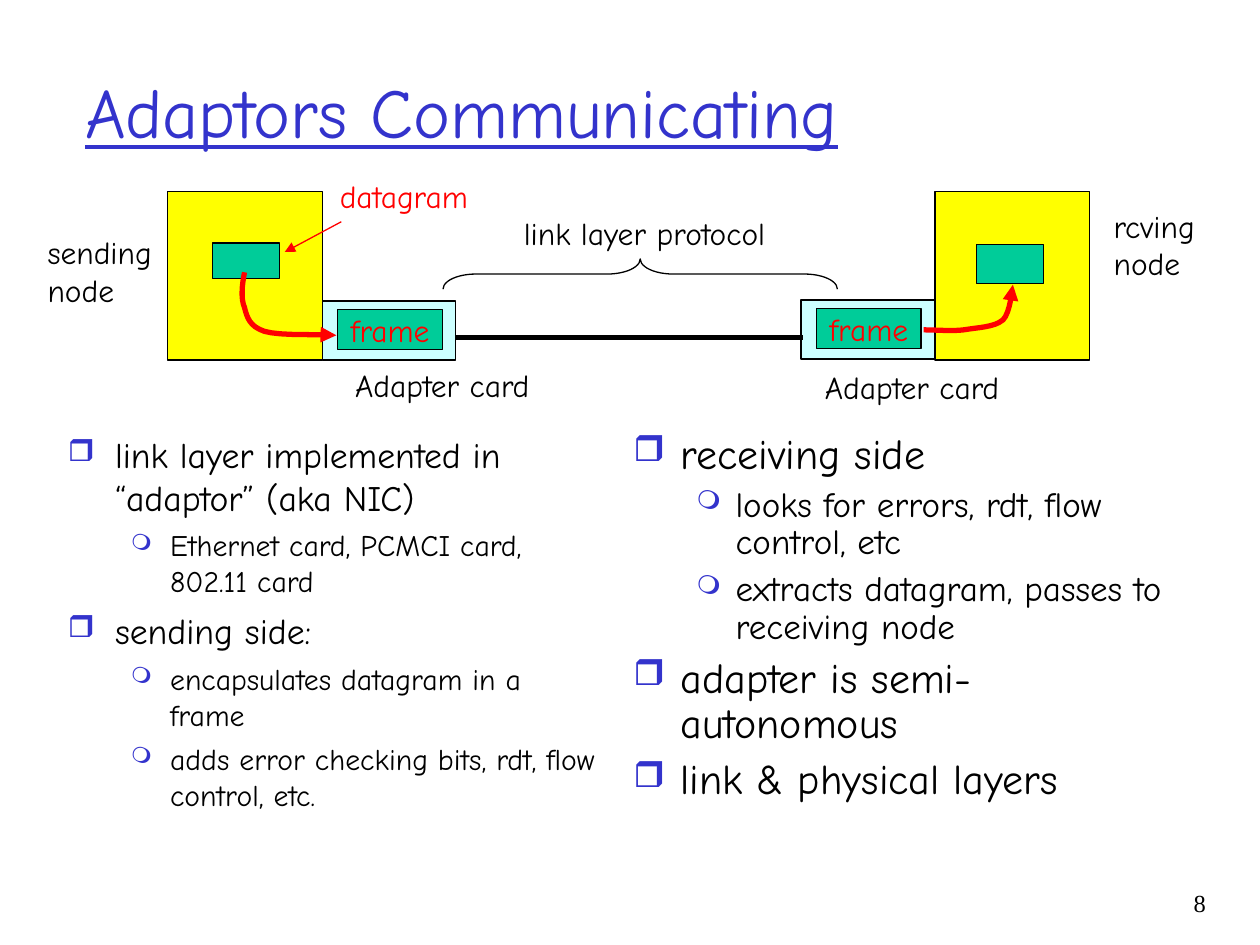
"""Build the slide that shows two link layer adaptors communicating."""
from lxml import etree
from pptx import Presentation
from pptx.dml.color import RGBColor
from pptx.enum.shapes import MSO_CONNECTOR, MSO_SHAPE
from pptx.enum.text import MSO_ANCHOR, PP_ALIGN
from pptx.oxml.ns import qn
from pptx.util import Cm, Pt

RECTANGLE, BRACE = MSO_SHAPE.RECTANGLE, MSO_SHAPE.LEFT_BRACE
STRAIGHT = MSO_CONNECTOR.STRAIGHT
MIDDLE, TOP = MSO_ANCHOR.MIDDLE, MSO_ANCHOR.TOP
LEFT, CENTER, RIGHT = PP_ALIGN.LEFT, PP_ALIGN.CENTER, PP_ALIGN.RIGHT

color = RGBColor.from_string
BLACK, BLUE, RED = "000000", "3333CC", "FF0000"
YELLOW, GREEN, PALE = "FFFF00", "00CC99", "CCFFFF"
FONT = "Comic Neue"

presentation = Presentation()
presentation.slide_width, presentation.slide_height = Cm(25.4), Cm(19.05)
slide = presentation.slides.add_slide(presentation.slide_layouts[6])
shapes = slide.shapes


def write(shape, lines, size, text_color=BLACK, align=LEFT, anchor=TOP, wrap=False, font=FONT):
    frame = shape.text_frame
    frame.word_wrap = wrap
    frame.vertical_anchor = anchor
    frame.text = "\n".join(lines)
    for paragraph in frame.paragraphs:
        paragraph.alignment = align
        paragraph.font.name = font
        paragraph.font.size = Pt(size)
        paragraph.font.color.rgb = color(text_color)
    return frame


def add_box(left, top, width, height, fill):
    box = shapes.add_shape(RECTANGLE, Cm(left), Cm(top), Cm(width), Cm(height))
    box.shadow.inherit = False
    box.fill.solid()
    box.fill.fore_color.rgb = color(fill)
    box.line.color.rgb = color(BLACK)
    box.line.width = Pt(0.75)
    return box


title = shapes.add_textbox(Cm(1.47), Cm(0.64), Cm(21.59), Cm(3.17))
title_frame = write(title, ["Adaptors Communicating"], 40, BLUE, anchor=MIDDLE, wrap=True)
title_frame.paragraphs[0].font.underline = True

# level, text
sending_points = [
    (0, "link layer implemented in “adaptor” (aka NIC)"),
    (1, "Ethernet card, PCMCI card, 802.11 card"),
    (0, "sending side:"),
    (1, "encapsulates datagram in a frame"),
    (1, "adds error checking bits, rdt, flow control, etc."),
]
receiving_points = [
    (0, "receiving side"),
    (1, "looks for errors, rdt, flow control, etc"),
    (1, "extracts datagram, passes to receiving node"),
    (0, "adapter is semi-autonomous"),
    (0, "link & physical layers"),
]
level_styles = [("❒", 85, 0.95, -0.95, 6), ("❍", 75, 2.06, -0.79, 5)]
for left, points, sizes, spacing in (
    (1.12, sending_points, (20.4, 17), 1.0),
    (12.52, receiving_points, (24, 20), 0.9),
):
    body = shapes.add_textbox(Cm(left), Cm(8.6), Cm(11.33), Cm(8.4))
    frame = write(body, [text for level, text in points], sizes[0], wrap=True)
    for paragraph, (level, text) in zip(frame.paragraphs, points):
        symbol, percent, margin, indent, space = level_styles[level]
        paragraph.level = level
        paragraph.font.size = Pt(sizes[level])
        paragraph.line_spacing = spacing
        paragraph.space_before = Pt(space)
        properties = paragraph.font._element.getparent()
        properties.set("marL", str(Cm(margin)))
        properties.set("indent", str(Cm(indent)))
        bullet_color = etree.Element(qn("a:buClr"))
        etree.SubElement(bullet_color, qn("a:srgbClr"), val=BLUE)
        bullet_size = etree.Element(qn("a:buSzPct"), val=str(percent * 1000))
        bullet = etree.Element(qn("a:buChar"), char=symbol)
        for element in (bullet_color, bullet_size, bullet):
            properties.find(qn("a:defRPr")).addprevious(element)

for node_left, datagram_left, datagram_top, datagram_height, adapter_left, adapter_top in (
    (3.38, 4.29, 4.9, 0.71, 6.5, 6.07),
    (18.85, 19.69, 4.93, 0.79, 16.15, 6.05),
):
    add_box(node_left, 3.86, 3.12, 3.4, YELLOW)
    add_box(datagram_left, datagram_top, 1.35, datagram_height, GREEN)
    add_box(adapter_left, adapter_top, 2.69, 1.19, PALE)
    frame_box = add_box(adapter_left + 0.31, adapter_top + 0.17, 2.11, 0.81, GREEN)
    write(frame_box, ["frame"], 18, RED, CENTER, MIDDLE)

for left, top, width, height, lines, text_color in (
    (0.71, 4.57, 2.62, 1.78, ["sending", "node"], BLACK),
    (22.2, 4.04, 2.16, 1.78, ["rcving", "node"], BLACK),
    (6.6, 3.45, 3.12, 1.02, ["datagram"], RED),
    (10.31, 4.19, 5.41, 1.02, ["link layer protocol"], BLACK),
    (6.91, 7.26, 4.06, 1.02, ["Adapter card"], BLACK),
    (16.38, 7.29, 4.06, 1.02, ["Adapter card"], BLACK),
):
    label = shapes.add_textbox(Cm(left), Cm(top), Cm(width), Cm(height))
    write(label, lines, 18, text_color)

brace = shapes.add_shape(BRACE, Cm(12.6), Cm(1.55), Cm(0.61), Cm(7.95))
brace.rotation = 90
brace.adjustments[0] = 1.09
brace.shadow.inherit = False
brace.fill.background()
brace.line.color.rgb = color(BLACK)
brace.line.width = Pt(0.75)

arrows = []
for start_x, start_y, end_x, end_y, line_color, width in (
    (9.17, 6.81, 16.18, 6.81, BLACK, 3),
    (6.88, 4.47, 5.74, 5.08, RED, 0.75),
):
    connector = shapes.add_connector(STRAIGHT, Cm(start_x), Cm(start_y), Cm(end_x), Cm(end_y))
    connector.line.color.rgb = color(line_color)
    connector.line.width = Pt(width)
    etree.SubElement(connector._element.spPr, qn("a:effectLst"))
    if line_color == RED:
        arrows.append(connector)

# Each curve is a chain of cubic Bezier segments sharing their end points.
sending_curve = [
    (4.93, 5.49), (4.88, 5.74), (4.85, 6.02), (4.93, 6.2), (4.98, 6.4),
    (5.03, 6.58), (5.33, 6.68), (5.64, 6.78), (6.53, 6.73), (6.78, 6.76),
]
receiving_curve = [
    (18.62, 6.65), (18.9, 6.65), (19.18, 6.68), (19.43, 6.65), (19.71, 6.6),
    (20.04, 6.6), (20.22, 6.45), (20.37, 6.3), (20.4, 5.84), (20.42, 5.74),
]
STEPS = 8
for curve in (sending_curve, receiving_curve):
    points = []
    for first in range(0, len(curve) - 1, 3):
        for step in range(1, STEPS + 1):
            t = step / STEPS
            weights = ((1 - t) ** 3, 3 * t * (1 - t) ** 2, 3 * t * t * (1 - t), t ** 3)
            controls = curve[first:first + 4]
            points.append([
                Cm(sum(weight * control[axis] for weight, control in zip(weights, controls)))
                for axis in (0, 1)
            ])
    builder = shapes.build_freeform(Cm(curve[0][0]), Cm(curve[0][1]))
    builder.add_line_segments(points, close=False)
    shape = builder.convert_to_shape()
    shape.shadow.inherit = False
    shape.fill.background()
    shape.line.color.rgb = color(RED)
    shape.line.width = Pt(3)
    arrows.append(shape)

for shape in arrows:
    outline = shape._element.spPr.find(qn("a:ln"))
    etree.SubElement(outline, qn("a:tailEnd"), type="triangle")

number = shapes.add_textbox(Cm(22.68), Cm(17.78), Cm(1.88), Cm(1.27))
write(number, ["8"], 14, align=RIGHT, wrap=True, font="Times New Roman")

presentation.save("out.pptx")
